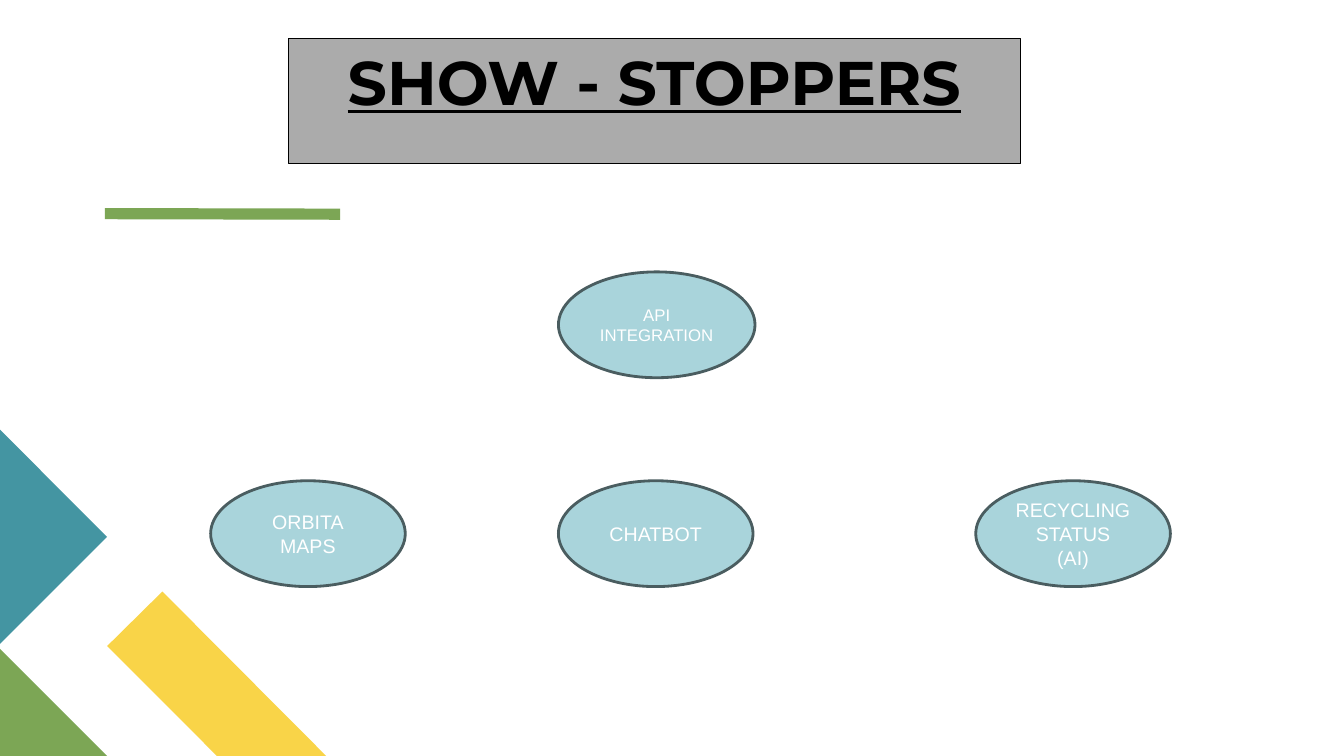
from dataclasses import dataclass

from lxml import etree
from pptx import Presentation
from pptx.dml.color import RGBColor
from pptx.enum.shapes import MSO_CONNECTOR, MSO_SHAPE
from pptx.enum.text import MSO_ANCHOR, MSO_AUTO_SIZE, PP_ALIGN
from pptx.oxml.ns import qn
from pptx.slide import Slide
from pptx.util import Pt

OVAL = MSO_SHAPE.OVAL
STRAIGHT = MSO_CONNECTOR.STRAIGHT
TOP, MIDDLE = MSO_ANCHOR.TOP, MSO_ANCHOR.MIDDLE
NO_FIT = MSO_AUTO_SIZE.NONE
CENTER = PP_ALIGN.CENTER
TITLE_ONLY = 5


@dataclass(frozen=True)
class Theme:
    yellow: str = "F9D448"
    green: str = "7CA655"
    teal: str = "4495A2"
    bubble: str = "A9D4DB"
    edge: str = "4A5D60"
    panel: str = "ABABAB"
    black: str = "000000"
    white: str = "FFFFFF"
    head_font: str = "Montserrat"
    body_font: str = "Arial"
    head_size: float = 44
    body_size: float = 14
    small_size: float = 12


THEME = Theme()


@dataclass(frozen=True)
class Corner:
    color: str
    points: tuple[tuple[float, float], ...]


@dataclass(frozen=True)
class Bubble:
    text: str
    left: float
    top: float
    width: float = 139
    size: float = THEME.body_size


CORNERS = (
    Corner(THEME.yellow, ((233, 540), (155, 540), (76.5, 461.5), (116, 422.5))),
    Corner(THEME.green, ((76.5, 540), (0, 540), (0, 463.5))),
    Corner(THEME.teal, ((0, 307), (76.5, 383.5), (0, 460))),
)

LOW_ROW = 343.4
BUBBLES = (
    Bubble("API\nINTEGRATION", 398.9, 194.2, 140.4, THEME.small_size),
    Bubble("ORBITA\nMAPS", 150.5, LOW_ROW),
    Bubble("CHATBOT", 398.9, LOW_ROW),
    Bubble("RECYCLING\vSTATUS\n(AI)", 697, LOW_ROW),
)
BUBBLE_HEIGHT = 75.6


def rgb(code: str) -> RGBColor:
    return RGBColor.from_string(code)


def paint(shape, fill: str, line: str = "", width: float = 0) -> None:
    """Set a solid fill and, when a colour is given, an outline."""
    shape.fill.solid()
    shape.fill.fore_color.rgb = rgb(fill)
    if line:
        shape.line.color.rgb = rgb(line)
        shape.line.width = Pt(width)
    else:
        shape.line.fill.background()


def write(shape, text: str, font: str, size: float, color: str, strong: bool = False) -> None:
    """Fill a shape with centred text; strong means bold and underlined."""
    frame = shape.text_frame
    frame.text = text
    frame.word_wrap = True
    for para in frame.paragraphs:
        para.alignment = CENTER
        for run in para.runs:
            run.font.name = font
            run.font.size = Pt(size)
            run.font.color.rgb = rgb(color)
            run.font.bold = run.font.underline = strong


def draw_corner(slide: Slide, corner: Corner) -> None:
    first, *rest = [(Pt(x), Pt(y)) for x, y in corner.points]
    pen = slide.shapes.build_freeform(*first)
    pen.add_line_segments(rest, close=True)
    shape = pen.convert_to_shape()
    shape.shadow.inherit = False
    paint(shape, corner.color)


def draw_rule(slide: Slide) -> None:
    rule = slide.shapes.add_connector(STRAIGHT, Pt(75), Pt(152.6), Pt(243), Pt(153))
    rule.line.color.rgb = rgb(THEME.green)
    rule.line.width = Pt(8)
    etree.SubElement(rule.element.spPr, qn("a:effectLst"))


def draw_bubble(slide: Slide, bubble: Bubble) -> None:
    shape = slide.shapes.add_shape(
        OVAL, Pt(bubble.left), Pt(bubble.top), Pt(bubble.width), Pt(BUBBLE_HEIGHT)
    )
    shape.shadow.inherit = False
    paint(shape, THEME.bubble, THEME.edge, 2)
    write(shape, bubble.text, THEME.body_font, bubble.size, THEME.white)
    shape.text_frame.vertical_anchor = MIDDLE


def draw_title(slide: Slide) -> None:
    title = slide.shapes.title
    title.left, title.top = Pt(206), Pt(27.4)
    title.width, title.height = Pt(523), Pt(89.6)
    paint(title, THEME.panel, THEME.black, 0.75)
    write(title, "SHOW - STOPPERS", THEME.head_font, THEME.head_size, THEME.black, True)
    title.text_frame.vertical_anchor = TOP
    title.text_frame.auto_size = NO_FIT


def main() -> None:
    deck = Presentation()
    deck.slide_width, deck.slide_height = Pt(960), Pt(540)
    slide = deck.slides.add_slide(deck.slide_layouts[TITLE_ONLY])
    for corner in CORNERS:
        draw_corner(slide, corner)
    draw_rule(slide)
    for bubble in BUBBLES:
        draw_bubble(slide, bubble)
    draw_title(slide)
    deck.save("out.pptx")


if __name__ == "__main__":
    main()
